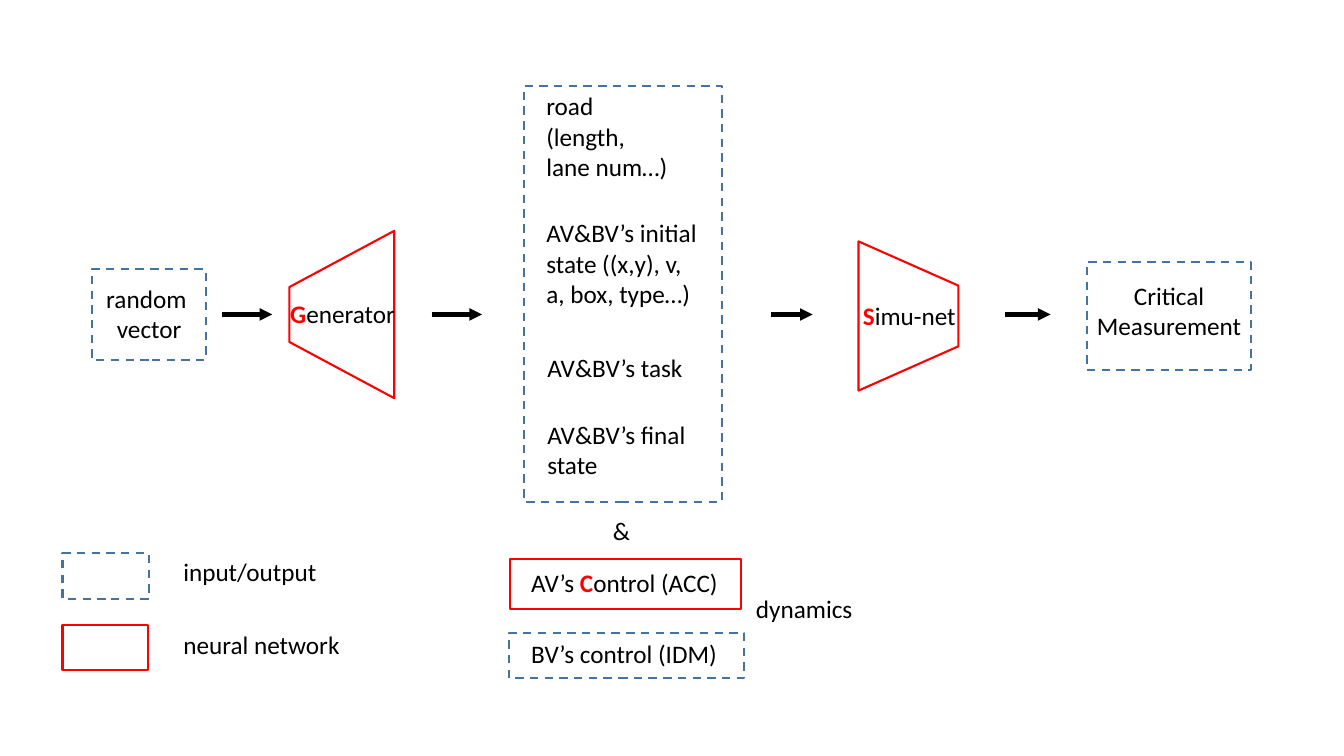
from lxml import etree
from pptx import Presentation, util as u
from pptx.dml.color import RGBColor
from pptx.enum import dml, shapes, text
from pptx.oxml.ns import qn

COLORS = {"ink": "000000", "network": "FF0000", "data": "43739E"}


def add_outline(kind, role, frame, rotation=0, taper=None):
    """Draw an unfilled shape: dashed for data, solid for a neural network."""
    shape = page.shapes.add_shape(kind, *map(u.Inches, frame))
    shape.shadow.inherit = False
    shape.fill.background()
    shape.line.color.rgb = RGBColor.from_string(COLORS[role])
    shape.line.width = u.Pt(1.5)
    if role == "data":
        shape.line.dash_style = dml.MSO_LINE.DASH
    shape.rotation = rotation
    if taper is not None:
        shape.adjustments[0] = taper


def add_label(label, frame, wrap=True, align=text.PP_ALIGN.LEFT):
    """Add an 18 pt label; text between asterisks becomes bold red."""
    box = page.shapes.add_textbox(*map(u.Inches, frame))
    frame_text = box.text_frame
    frame_text.word_wrap = wrap
    frame_text.auto_size = text.MSO_AUTO_SIZE.SHAPE_TO_FIT_TEXT
    for i, line in enumerate(label.split("\n")):
        para = frame_text.paragraphs[0] if i == 0 else frame_text.add_paragraph()
        para.alignment = align
        para.font.size = u.Pt(18)
        para.font.name = "Calibri"
        for j, part in enumerate(line.split("*")):
            if not part:
                continue
            span = para.add_run()
            span.text = part
            initial = j % 2 == 1
            span.font.bold = initial
            color = COLORS["network" if initial else "ink"]
            span.font.color.rgb = RGBColor.from_string(color)


deck = Presentation()
deck.slide_width, deck.slide_height = u.Inches(13.33), u.Inches(7.5)
page = deck.slides.add_slide(deck.slide_layouts[6])

# Input, scenario, output, controllers and legend swatches
for role, frame in [
    ("data", (0.91, 2.67, 1.13, 0.9)),
    ("data", (5.2, 0.85, 1.96, 4.13)),
    ("data", (10.78, 2.6, 1.63, 1.07)),
    ("network", (5.06, 5.55, 2.29, 0.49)),
    ("data", (5.05, 6.28, 2.33, 0.45)),
    ("data", (0.62, 5.49, 0.86, 0.45)),
    ("network", (0.62, 6.2, 0.85, 0.45)),
]:
    add_outline(shapes.MSO_SHAPE.RECTANGLE, role, frame)

# Generator widens to the right, Simu-net narrows
for frame, rotation, taper in [
    ((2.56, 2.6, 1.66, 1.04), 270, 0.536),
    ((8.27, 2.64, 1.48, 0.99), 90, 0.443),
]:
    add_outline(shapes.MSO_SHAPE.TRAPEZOID, "network", frame, rotation, taper)

# Wrapping labels
for label, frame in [
    ("road (length, lane num…)", (5.32, 0.85, 1.43, 0.71)),
    ("AV&BV’s initial state ((x,y), v, a, box, type…)", (5.32, 2.11, 1.75, 1.01)),
    ("AV&BV’s task", (5.33, 3.45, 1.6, 0.4)),
    ("AV&BV’s final state", (5.33, 4.11, 1.84, 0.71)),
    ("&", (5.98, 5.06, 0.41, 0.4)),
    ("AV’s *C*ontrol (ACC)", (5.17, 5.58, 2.11, 0.4)),
    ("BV’s control (IDM)", (5.17, 6.28, 2.07, 0.4)),
]:
    add_label(label, frame)

# Single-line labels
for label, frame in [
    ("*G*enerator", (2.78, 2.91, 1.25, 0.4)),
    ("*S*imu-net", (8.46, 2.93, 1.13, 0.4)),
    ("dynamics", (7.4, 5.84, 1.17, 0.4)),
    ("input/output", (1.72, 5.47, 1.54, 0.4)),
    ("neural network", (1.72, 6.19, 1.77, 0.4)),
]:
    add_label(label, frame, wrap=False)

# Centred labels
add_label("random \nvector", (0.95, 2.76, 1.06, 0.71), False, text.PP_ALIGN.CENTER)
add_label("Critical Measurement", (10.74, 2.73, 1.71, 0.71), True, text.PP_ALIGN.CENTER)

# Flow arrows on one axis
flow_y = u.Inches(3.12)
for start, end in [(2.2, 2.7), (4.28, 4.78), (7.65, 8.06), (9.97, 10.42)]:
    arrow = page.shapes.add_connector(
        shapes.MSO_CONNECTOR.STRAIGHT, u.Inches(start), flow_y, u.Inches(end), flow_y
    )
    arrow.line.color.rgb = RGBColor.from_string(COLORS["ink"])
    arrow.line.width = u.Pt(3)
    properties = arrow.element.spPr
    etree.SubElement(properties.find(qn("a:ln")), qn("a:tailEnd"), type="triangle")
    etree.SubElement(properties, qn("a:effectLst"))

deck.save("out.pptx")
